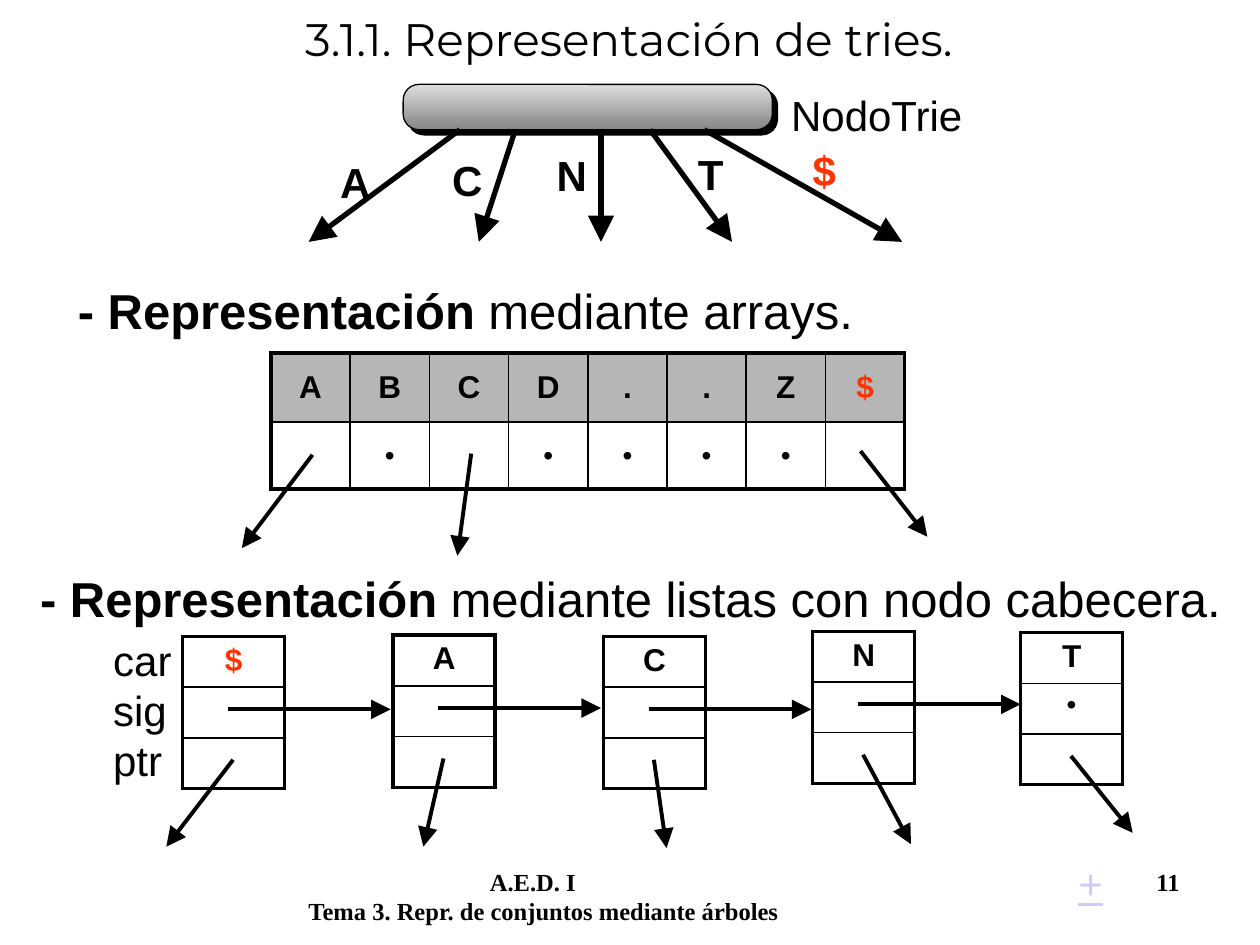
"""Build the slide on trie node representations, on a grid of 100 columns by 75 rows."""
from dataclasses import dataclass

import pptx
import pptx.dml.color
import pptx.enum.shapes
import pptx.enum.text
import pptx.oxml
import pptx.oxml.ns
import pptx.util

COLORS = {"ink": "000000", "accent": "FF3300", "header": "B6B6B6", "link": "CCCCFF",
          "light": "DDDDDD", "dark": "858585"}
NS = pptx.oxml.ns.nsdecls("a")
MIDDLE = pptx.enum.text.MSO_ANCHOR.MIDDLE
TOP = pptx.enum.text.MSO_ANCHOR.TOP
CENTER = pptx.enum.text.PP_ALIGN.CENTER
COLS, ROWS = 100, 75


@dataclass
class Run:
    text: str
    size: float = 24
    bold: bool = False
    color: str = "ink"
    font: str = "Arial"
    underline: bool = False


@dataclass
class Branch:
    letter: str
    label: tuple[float, float]
    start: tuple[float, float]
    end: tuple[float, float]
    color: str = "ink"


@dataclass
class Node:
    letter: str
    left: float
    top: float
    child: tuple[float, float]
    color: str = "ink"
    last: bool = False


BRANCHES = [
    Branch("A", (26, 11.9), (36.5, 10.3), (24.5, 19.2)),
    Branch("C", (34.9, 11.8), (40.9, 10.3), (38, 19.2)),
    Branch("N", (43.2, 11.4), (47.7, 10.3), (47.7, 19.2)),
    Branch("T", (54.4, 11.3), (51.6, 10.3), (58.1, 19.2)),
    Branch("$", (63.5, 11), (55.9, 10.3), (71.6, 19.2), "accent"),
]
NODES = [
    Node("$", 14.5, 50.5, (13.2, 67.2), "accent"),
    Node("A", 31.2, 50.4, (33.6, 67.2)),
    Node("C", 47.9, 50.5, (52.9, 67.3)),
    Node("N", 64.5, 50.1, (72.3, 67)),
    Node("T", 81, 50.2, (89.9, 66.1), last=True),
]
ARRAY_ARROWS = [((24.8, 36.1), (19.2, 43.5)), ((37.4, 36), (36.3, 44.1)),
                ((68.3, 35.8), (73.6, 42.6))]


def grid(*units: float) -> list[int]:
    """Turn grid units into slide lengths."""
    return [pptx.util.Inches(n / 10) for n in units]


def rgb(name: str) -> pptx.dml.color.RGBColor:
    """Look up a colour of the slide."""
    return pptx.dml.color.RGBColor.from_string(COLORS[name])


def add_runs(p, *runs: Run) -> None:
    """Append formatted runs to a paragraph."""
    for run in runs:
        r = p.add_run()
        r.text = run.text
        r.font.name, r.font.size = run.font, pptx.util.Pt(run.size)
        r.font.bold, r.font.underline = run.bold, run.underline
        r.font.color.rgb = rgb(run.color)


def add_text(s, left: float, top: float, width: float, height: float, *runs: Run, wrap: bool = True):
    """Add a text box and return its text frame."""
    tf = s.shapes.add_textbox(*grid(left, top, width, height)).text_frame
    tf.word_wrap = wrap
    add_runs(tf.paragraphs[0], *runs)
    return tf


def add_arrow(s, start: tuple[float, float], end: tuple[float, float], weight: float = 2.25) -> None:
    """Draw a straight arrow between two grid points."""
    c = s.shapes.add_connector(pptx.enum.shapes.MSO_CONNECTOR.STRAIGHT, *grid(*start, *end))
    c.line.color.rgb, c.line.width = rgb("ink"), pptx.util.Pt(weight)
    c.line._get_or_add_ln().append(
        pptx.oxml.parse_xml(f'<a:tailEnd {NS} type="triangle" w="lg" len="lg"/>'))
    c._element.spPr.append(pptx.oxml.parse_xml(f"<a:effectLst {NS}/>"))


def set_borders(cell, outer: dict[str, bool]) -> None:
    """Draw outer cell sides thick and inner ones thin."""
    tc_pr = cell._tc.get_or_add_tcPr()
    for i, (side, thick) in enumerate(outer.items()):
        width = pptx.util.Pt(2.25 if thick else 1)
        tc_pr.insert(i, pptx.oxml.parse_xml(
            f'<a:ln{side} {NS} w="{width}"><a:solidFill><a:srgbClr val="{COLORS["ink"]}"/>'
            f"</a:solidFill></a:ln{side}>"))


def add_table(s, left: float, top: float, width: float, heights: list[float],
              rows: list[list[Run | None]], anchor=TOP, header: bool = False) -> None:
    """Add a bordered table of equal columns."""
    last_row, last_col = len(rows) - 1, len(rows[0]) - 1
    tbl = s.shapes.add_table(len(rows), len(rows[0]), *grid(left, top, width, sum(heights))).table
    tbl.first_row = tbl.horz_banding = False
    for row, height in zip(tbl.rows, heights):
        row.height = grid(height)[0]
    for i, row in enumerate(rows):
        for j, run in enumerate(row):
            cell = tbl.cell(i, j)
            cell.vertical_anchor = anchor
            if header and i == 0:
                cell.fill.solid()
                cell.fill.fore_color.rgb = rgb("header")
            else:
                cell.fill.background()
            set_borders(cell, {"L": j == 0, "R": j == last_col, "T": i == 0, "B": i == last_row})
            if run:
                p = cell.text_frame.paragraphs[0]
                p.alignment = CENTER
                add_runs(p, run)


def add_trie_node(s) -> None:
    """Draw the trie node bar with its branches."""
    sp = s.shapes.add_shape(pptx.enum.shapes.MSO_SHAPE.ROUNDED_RECTANGLE, *grid(32, 6.7, 29.3, 3.6))
    sp.adjustments[0] = 0.35
    sp.fill.gradient()
    sp.fill.gradient_angle = 270
    for stop, name in zip(sp.fill.gradient_stops, ("light", "dark")):
        stop.color.rgb = rgb(name)
    sp.line.color.rgb, sp.line.width = rgb("ink"), pptx.util.Pt(0.75)
    sp.shadow.inherit = False
    shadow = pptx.oxml.parse_xml(
        f'<a:outerShdw {NS} blurRad="0" dist="{pptx.util.Pt(4.2)}" dir="2700000" algn="ctr" '
        f'rotWithShape="0"><a:srgbClr val="{COLORS["ink"]}"/></a:outerShdw>')
    sp._element.spPr.find(pptx.oxml.ns.qn("a:effectLst")).append(shadow)
    for b in BRANCHES:
        add_arrow(s, b.start, b.end, 3)
        add_text(s, *b.label, 8.9, 5.9, Run(b.letter, bold=True, color=b.color))
    add_text(s, 61.8, 6.6, 21.2, 4.3, Run("NodoTrie"))


def add_array(s) -> None:
    """Draw the array of letters with its pointers."""
    letters = [Run(c, 18, True, "accent" if c == "$" else "ink") for c in "ABCD..Z$"]
    pointers = [None if r.text in "AC$" else Run("•", 16) for r in letters]
    add_table(s, 21.5, 28, 50.3, [5.5, 5.3], [letters, pointers], MIDDLE, True)
    for start, end in ARRAY_ARROWS:
        add_arrow(s, start, end)


def add_list(s) -> None:
    """Draw the linked list with its field names."""
    for i, name in enumerate(("car", "sig", "ptr")):
        add_text(s, 8, 49.9 + 3.95 * i, 7.7, 5, Run(name))
    for n in NODES:
        end_mark = Run("•", 16) if n.last else None
        add_table(s, n.left, n.top, 8.1, [4.03] * 3,
                  [[Run(n.letter, 18, True, n.color)], [end_mark], [None]])
        add_arrow(s, (n.left + 4, n.top + 9.8), n.child)
        if not n.last:
            y = n.top + 5.8
            add_arrow(s, (n.left + 3.6, y), (n.left + 16.5, y))


def add_footer(s) -> None:
    """Write the course, topic, slide number and link mark."""
    tf = add_text(s, 23.5, 68.3, 74, 5)
    lines = ("\tA.E.D. I\t11", "Tema 3. Repr. de conjuntos mediante árboles")
    stops = "".join(f'<a:tab pos="{x}" algn="l"/>' for x in grid(14.4, 67.3))
    tf.paragraphs[0]._p.get_or_add_pPr().append(
        pptx.oxml.parse_xml(f"<a:tabLst {NS}>{stops}</a:tabLst>"))
    for p, line in zip((tf.paragraphs[0], tf.add_paragraph()), lines):
        add_runs(p, Run(line, 14, True, font="Times New Roman"))
    add_text(s, 84.6, 67.6, 4, 5, Run("+", color="link", underline=True), wrap=False)


def main() -> None:
    """Build and save the slide."""
    prs = pptx.Presentation()
    prs.slide_width, prs.slide_height = grid(COLS, ROWS)
    s = prs.slides.add_slide(prs.slide_layouts[5])
    title = s.shapes.title
    title.left, title.top, title.width, title.height = grid(3.3, 0, 93.3, 6)
    title.text_frame.vertical_anchor = MIDDLE
    p = title.text_frame.paragraphs[0]
    p.alignment = CENTER
    add_runs(p, Run("3.1.1. Representación de tries.", 26, font="Montserrat"))
    add_trie_node(s)
    for left, top, width, rest in ((5.2, 21.8, 89, " mediante arrays."),
                                   (2.2, 44.6, 96.1, " mediante listas con nodo cabecera.")):
        add_text(s, left, top, width, 8.2, Run("- Representación", 28, True), Run(rest, 28))
    add_array(s)
    add_list(s)
    add_footer(s)
    prs.save("out.pptx")


if __name__ == "__main__":
    main()
